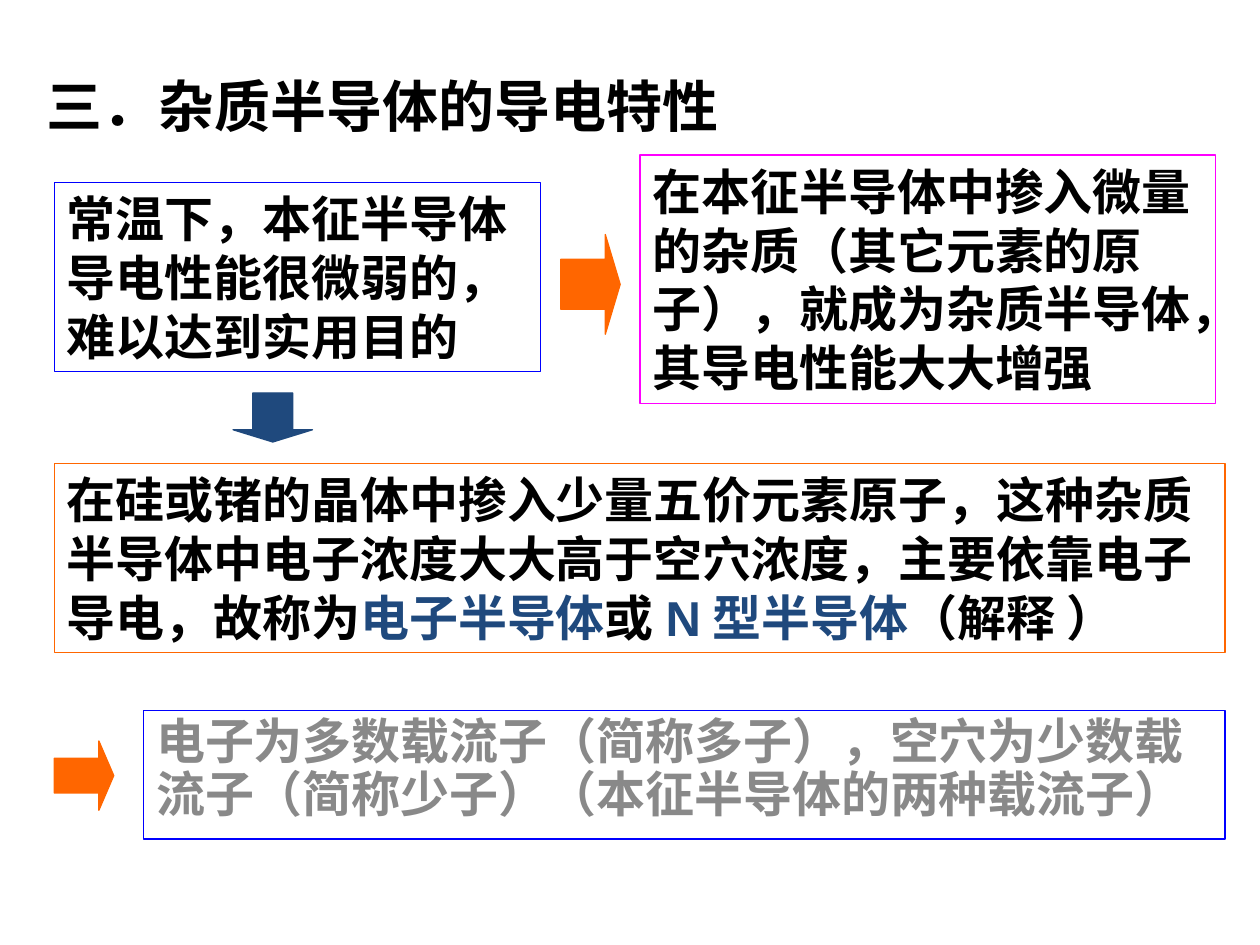
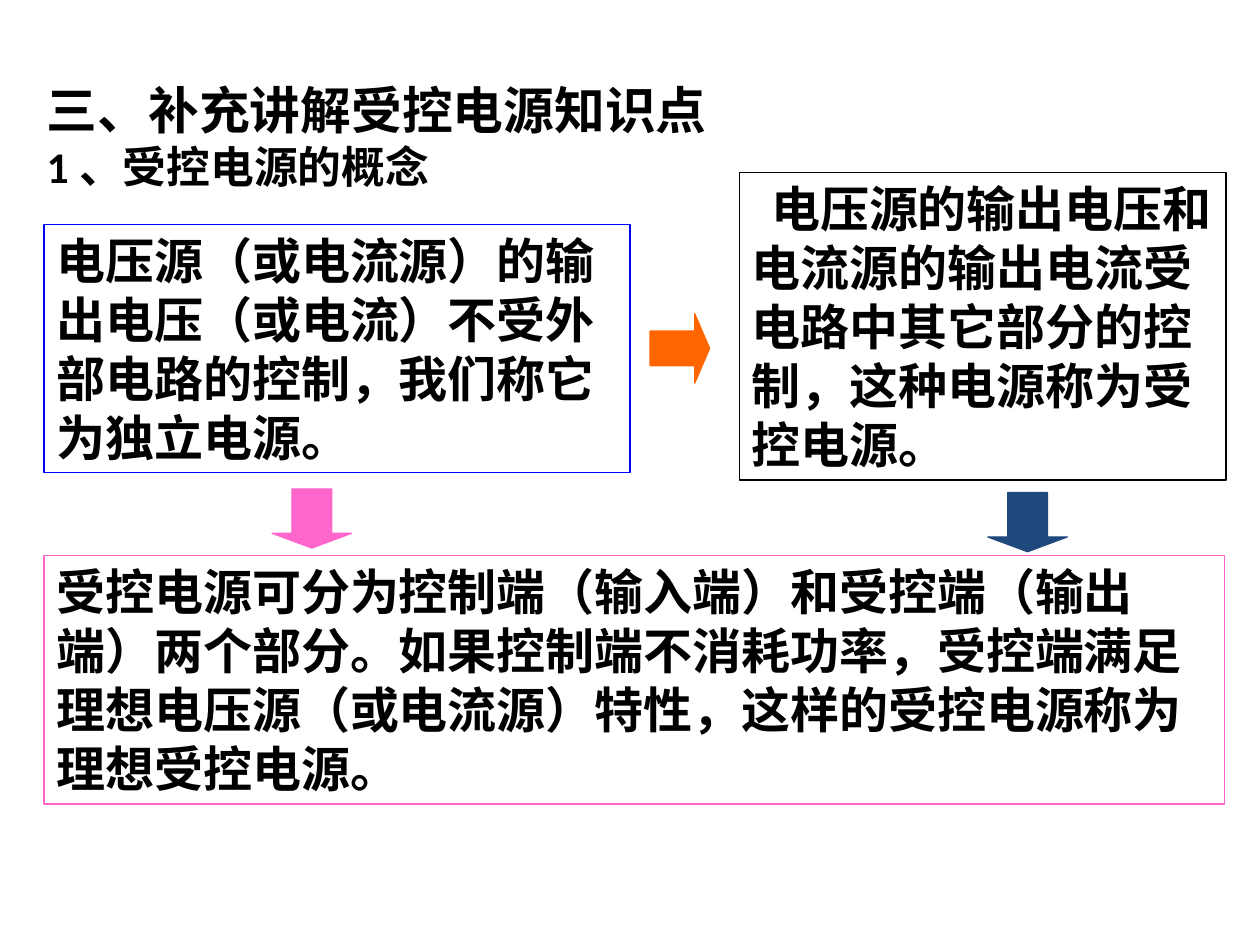
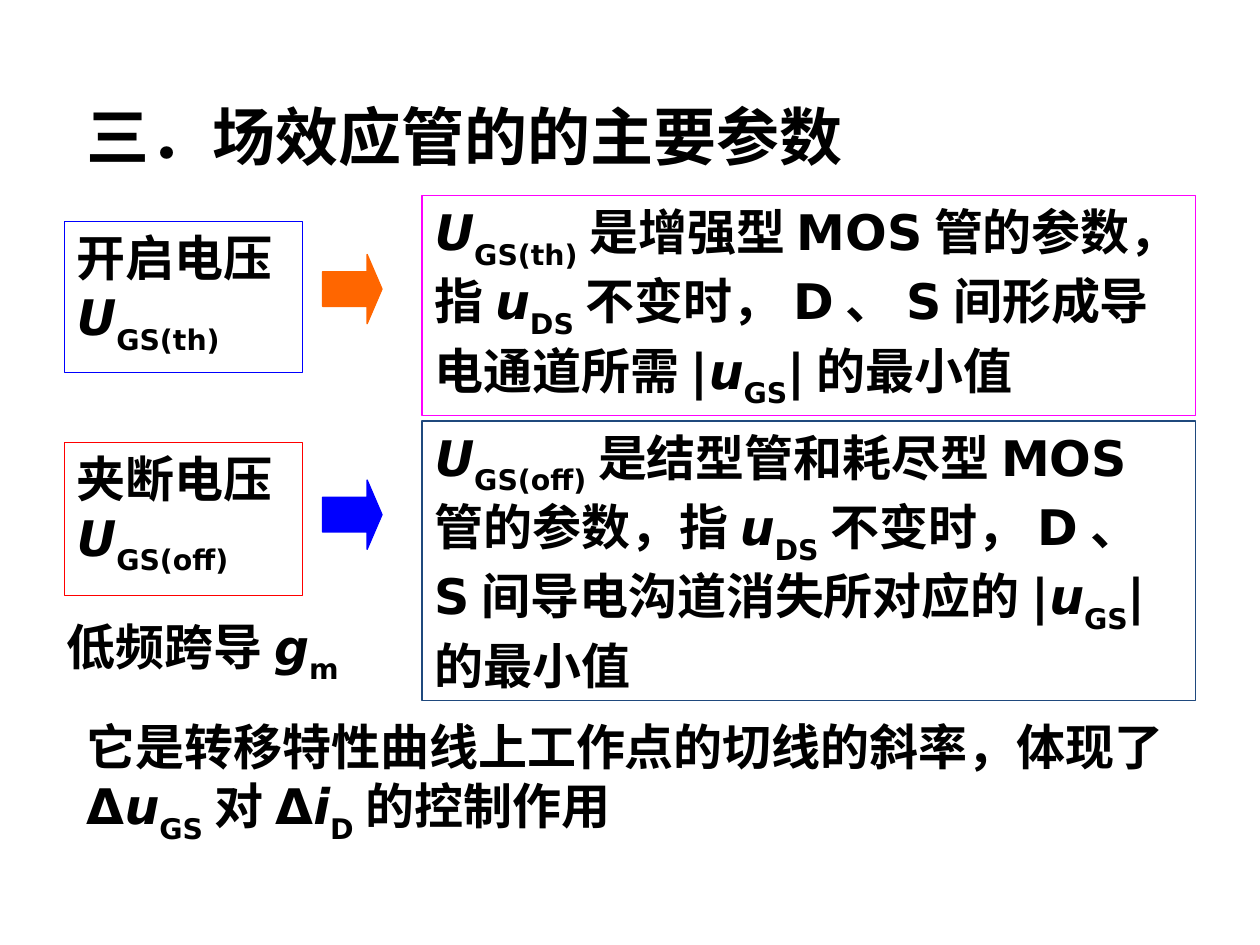
from typing import NamedTuple

from pptx import Presentation
from pptx.dml.color import RGBColor
from pptx.enum.shapes import MSO_SHAPE
from pptx.enum.text import MSO_ANCHOR, MSO_AUTO_SIZE, PP_ALIGN
from pptx.shapes.autoshape import Shape
from pptx.slide import Slide, SlideLayouts, Slides
from pptx.text.text import TextFrame
from pptx.util import Pt

RECTANGLE = MSO_SHAPE.RECTANGLE
RIGHT = MSO_SHAPE.RIGHT_ARROW
DOWN = MSO_SHAPE.DOWN_ARROW
TOP = MSO_ANCHOR.TOP
MIDDLE = MSO_ANCHOR.MIDDLE
LEFT_ALIGN = PP_ALIGN.LEFT
NO_AUTOFIT = MSO_AUTO_SIZE.NONE

BLACK = RGBColor(0x00, 0x00, 0x00)
GREY = RGBColor(0x89, 0x89, 0x89)
BLUE = RGBColor(0x00, 0x00, 0xFF)
NAVY = RGBColor(0x1F, 0x49, 0x7D)
ORANGE = RGBColor(0xFF, 0x66, 0x00)
MAGENTA = RGBColor(0xFF, 0x00, 0xFF)
PINK = RGBColor(0xFF, 0x66, 0xCC)
RED = RGBColor(0xFF, 0x00, 0x00)

HEADING_FONT = "Calibri"
BODY_FONT = "Arial"
SYMBOL_FONT = "DejaVu Sans"
BODY_SIZE = 28
LINE_WIDTH = 0.75
ARROW_LENGTH = 34
ARROW_BREADTH = 39.6
DOWN_WIDTH = 45.4
COVER_LAYOUT = 0
TITLE_ONLY_LAYOUT = 5


class Area(NamedTuple):
    left: float
    top: float
    width: float
    height: float


class Phrase(NamedTuple):
    text: str
    color: RGBColor = BLACK
    font: str = BODY_FONT
    italic: bool = False
    subscript: bool = False


class Box(NamedTuple):
    area: Area
    phrases: list[Phrase]
    border: RGBColor | None = None
    indent: float = 0


class Arrow(NamedTuple):
    area: Area
    color: RGBColor
    direction: MSO_SHAPE = RIGHT


class Heading(NamedTuple):
    text: str
    size: float


def latin(text: str) -> Phrase:
    return Phrase(text, font=SYMBOL_FONT)


def quantity(letter: str, index: str) -> list[Phrase]:
    return [
        Phrase(letter, font=SYMBOL_FONT, italic=True),
        Phrase(index, font=SYMBOL_FONT, subscript=True),
    ]


def place(shape: Shape, area: Area) -> None:
    shape.left, shape.top = Pt(area.left), Pt(area.top)
    shape.width, shape.height = Pt(area.width), Pt(area.height)


def prepare_frame(frame: TextFrame, anchor: MSO_ANCHOR) -> None:
    frame.auto_size = NO_AUTOFIT
    frame.word_wrap = True
    frame.vertical_anchor = anchor


def outline(shape: Shape, color: RGBColor) -> None:
    shape.line.color.rgb = color
    shape.line.width = Pt(LINE_WIDTH)


def set_title(slide: Slide, area: Area, headings: list[Heading]) -> None:
    title = slide.shapes.title
    place(title, area)
    frame = title.text_frame
    frame.text = "\n".join(heading.text for heading in headings)
    prepare_frame(frame, MIDDLE)
    for paragraph, heading in zip(frame.paragraphs, headings):
        paragraph.alignment = LEFT_ALIGN
        for run in paragraph.runs:
            run.font.name = HEADING_FONT
            run.font.size = Pt(heading.size)
            run.font.bold = True
            run.font.color.rgb = BLACK


def set_subtitle(slide: Slide, area: Area, text: str) -> None:
    subtitle = slide.placeholders[1]
    place(subtitle, area)
    subtitle.fill.background()
    outline(subtitle, BLUE)
    frame = subtitle.text_frame
    frame.text = text
    prepare_frame(frame, TOP)
    paragraph = frame.paragraphs[0]
    paragraph.alignment = LEFT_ALIGN
    paragraph.line_spacing = 0.9
    paragraph.space_before = Pt(0)
    font = paragraph.runs[0].font
    font.name, font.size, font.bold = HEADING_FONT, Pt(BODY_SIZE), True
    font.color.rgb = GREY


def draw_box(slide: Slide, box: Box) -> None:
    bounds = [Pt(length) for length in box.area]
    if box.border is None:
        shape = slide.shapes.add_textbox(*bounds)
    else:
        shape = slide.shapes.add_shape(RECTANGLE, *bounds)
        shape.shadow.inherit = False
        shape.fill.background()
        outline(shape, box.border)
    frame = shape.text_frame
    prepare_frame(frame, TOP)
    paragraph = frame.paragraphs[0]
    paragraph.alignment = LEFT_ALIGN
    if box.indent:
        paragraph._p.get_or_add_pPr().set("indent", str(Pt(box.indent)))
    for phrase in box.phrases:
        run = paragraph.add_run()
        run.text = phrase.text
        run.font.name = phrase.font
        run.font.size = Pt(BODY_SIZE)
        run.font.bold = True
        run.font.italic = phrase.italic
        run.font.color.rgb = phrase.color
        if phrase.subscript:
            run._r.get_or_add_rPr().set("baseline", "-30000")


def draw_arrow(slide: Slide, arrow: Arrow) -> None:
    bounds = [Pt(length) for length in arrow.area]
    shape = slide.shapes.add_shape(arrow.direction, *bounds)
    shape.shadow.inherit = False
    shape.adjustments[0] = 0.5
    shape.adjustments[1] = 0.25
    shape.fill.solid()
    shape.fill.fore_color.rgb = arrow.color
    outline(shape, arrow.color)


def draw_all(slide: Slide, elements: list[Box | Arrow]) -> None:
    for element in elements:
        if isinstance(element, Box):
            draw_box(slide, element)
        else:
            draw_arrow(slide, element)


def build_doped_semiconductors(slides: Slides, layouts: SlideLayouts) -> None:
    slide = slides.add_slide(layouts[COVER_LAYOUT])
    set_title(slide, Area(19.5, 31.7, 648, 57), [Heading("三．杂质半导体的导电特性", 32)])
    set_subtitle(
        slide,
        Area(82, 406, 618, 73.5),
        "电子为多数载流子（简称多子），空穴为少数载流子（简称少子）（本征半导体的两种载流子）",
    )
    margin = 31
    draw_all(slide, [
        Box(
            Area(margin, 104.4, 278, 108),
            [Phrase("常温下，本征半导体导电性能很微弱的，难以达到实用目的")],
            BLUE,
        ),
        Arrow(Area(320.4, 134, ARROW_LENGTH, 57), ORANGE),
        Box(
            Area(365.8, 88.6, 329, 142),
            [Phrase("在本征半导体中掺入微量的杂质（其它元素的原子），就成为杂质半导体，其导电性能大大增强")],
            MAGENTA,
        ),
        Arrow(Area(margin, 423.4, ARROW_LENGTH, ARROW_BREADTH), ORANGE),
        Arrow(Area(133.2, 224.6, DOWN_WIDTH, 28), NAVY, DOWN),
        Box(
            Area(margin, 265, 669, 108),
            [
                Phrase("在硅或锗的晶体中掺入少量五价元素原子，这种杂质半导体中电子浓度大大高于空穴浓度，主要依靠电子导电，故称为"),
                Phrase("电子半导体", NAVY),
                Phrase("或"),
                Phrase("N型半导体", NAVY),
                Phrase("（解释 ）"),
            ],
            ORANGE,
        ),
    ])


def build_controlled_sources(slides: Slides, layouts: SlideLayouts) -> None:
    slide = slides.add_slide(layouts[TITLE_ONLY_LAYOUT])
    set_title(
        slide,
        Area(19.5, 49, 674.6, 57),
        [Heading("三、补充讲解受控电源知识点", 29), Heading("1、受控电源的概念", 25)],
    )
    margin = 25.2
    down_height = 33.8
    draw_all(slide, [
        Arrow(Area(564.5, 281.5, DOWN_WIDTH, down_height), NAVY, DOWN),
        Box(
            Area(margin, 317.5, 674.6, 142),
            [Phrase("受控电源可分为控制端（输入端）和受控端（输出端）两个部分。如果控制端不消耗功率，受控端满足理想电压源（或电流源）特性，这样的受控电源称为理想受控电源。")],
            PINK,
        ),
        Arrow(Area(155.5, 279.4, DOWN_WIDTH, down_height), PINK, DOWN),
        Box(
            Area(margin, 128.2, 334.8, 142),
            [Phrase("电压源（或电流源）的输出电压（或电流）不受外部电路的控制，我们称它为独立电源。")],
            BLUE,
        ),
        Arrow(Area(371.5, 179.3, ARROW_LENGTH, ARROW_BREADTH), ORANGE),
        Box(
            Area(422.6, 98.6, 278, 175.7),
            [Phrase("电压源的输出电压和电流源的输出电流受电路中其它部分的控制，这种电源称为受控电源。")],
            BLACK,
            indent=11,
        ),
    ])


def definition(index: str, device: str, effect: list[Phrase]) -> list[Phrase]:
    return [
        *quantity("U", index),
        Phrase(device),
        latin("MOS"),
        Phrase("管的参数，指"),
        *quantity("u", "DS"),
        Phrase("不变时，"),
        latin("D"),
        Phrase("、"),
        latin("S"),
        *effect,
        *quantity("u", "GS"),
        latin("|的最小值"),
    ]


def build_transistor_parameters(slides: Slides, layouts: SlideLayouts) -> None:
    slide = slides.add_slide(layouts[TITLE_ONLY_LAYOUT])
    set_title(slide, Area(42.5, 49, 648, 57), [Heading("三．场效应管的的主要参数", 36)])
    term_left, term_width = 36.7, 136
    arrow_left = 184.3
    definition_left, definition_width = 241.2, 442
    threshold = definition("GS(th)", "是增强型", [Phrase("间形成导电通道"), latin("所需|")])
    pinch_off = definition("GS(off)", "是结型管和耗尽型", [Phrase("间导电沟道消失所对应的"), latin("|")])
    draw_all(slide, [
        Box(
            Area(term_left, 126.7, term_width, 86.4),
            [Phrase("开启电压"), *quantity("U", "GS(th)")],
            BLUE,
        ),
        Arrow(Area(arrow_left, 145.4, ARROW_LENGTH, ARROW_BREADTH), ORANGE),
        Box(Area(definition_left, 111.6, definition_width, 126), threshold, MAGENTA),
        Box(Area(31, 348.5, 172, 46.8), [Phrase("低频跨导"), *quantity("g", "m")]),
        Box(
            Area(term_left, 252.7, term_width, 87.8),
            [Phrase("夹断电压"), *quantity("U", "GS(off)")],
            RED,
        ),
        Arrow(Area(arrow_left, 274.3, ARROW_LENGTH, ARROW_BREADTH), BLUE),
        Box(Area(definition_left, 240.5, definition_width, 159.8), pinch_off, NAVY),
        Box(
            Area(42.5, 406, 635, 80.6),
            [
                Phrase("它是转移特性曲线上工作点的切线的斜率，体现了"),
                latin("Δ"),
                *quantity("u", "GS"),
                Phrase("对"),
                latin("Δ"),
                *quantity("i", "D"),
                Phrase("的控制作用"),
            ],
        ),
    ])


def main() -> None:
    deck = Presentation()
    deck.slide_width, deck.slide_height = Pt(720), Pt(540)
    for build in (
        build_doped_semiconductors,
        build_controlled_sources,
        build_transistor_parameters,
    ):
        build(deck.slides, deck.slide_layouts)
    deck.save("out.pptx")


if __name__ == "__main__":
    main()
